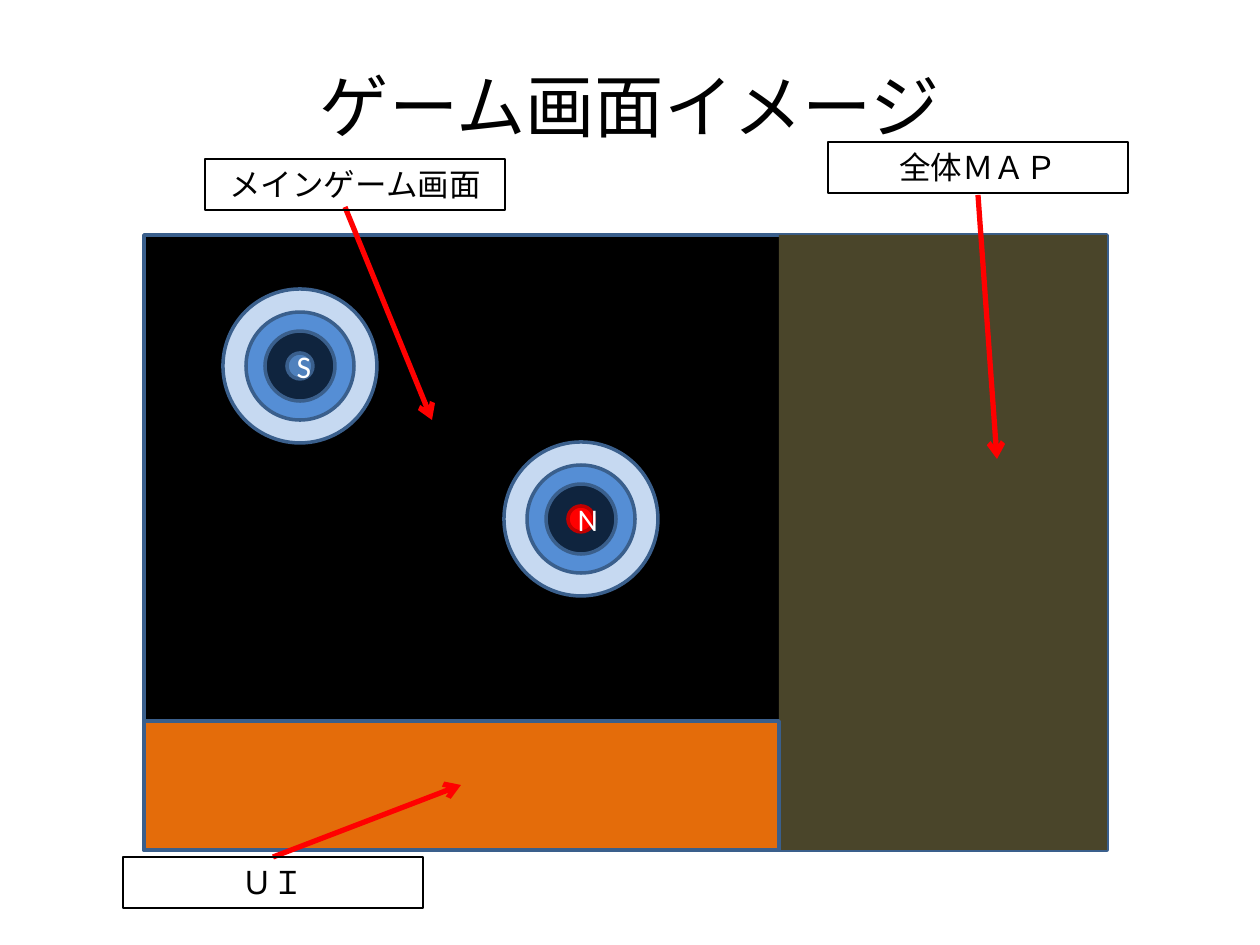
from lxml import etree
from pptx import Presentation
from pptx.dml.color import RGBColor
from pptx.enum.dml import MSO_LINE
from pptx.enum.shapes import MSO_CONNECTOR, MSO_SHAPE
from pptx.enum.text import MSO_ANCHOR, MSO_AUTO_SIZE, PP_ALIGN
from pptx.oxml.ns import qn
from pptx.util import Emu, Inches, Pt

RECTANGLE, OVAL = MSO_SHAPE.RECTANGLE, MSO_SHAPE.OVAL
STRAIGHT, SOLID = MSO_CONNECTOR.STRAIGHT, MSO_LINE.SOLID
CENTER, MIDDLE = PP_ALIGN.CENTER, MSO_ANCHOR.MIDDLE
GROW, NO_FIT = MSO_AUTO_SIZE.SHAPE_TO_FIT_TEXT, MSO_AUTO_SIZE.NONE
TITLE_ONLY = 5
SCALE = Inches(1) / 126
FONT = "Calibri"
COLORS = {
    "black": "000000", "white": "FFFFFF", "outline": "3A5F8C",
    "pale": "C6D9F1", "blue": "558ED5", "navy": "0F243E",
    "south": "4F81BD", "north": "FF0000", "north_edge": "C00000",
    "map": "4A452A", "ui": "E46C0A", "arrow": "FF0000",
}


class SlideBuilder:
    """Holds the style and the current slide and draws its elements."""

    def __init__(self, slide):
        self.slide = slide

    def color(self, name):
        return RGBColor.from_string(COLORS[name])

    def lengths(self, *pixels):
        return [Emu(round(value * SCALE)) for value in pixels]

    def add_text(self, shape, text, size, color, **frame_format):
        frame = shape.text_frame
        for name, value in frame_format.items():
            setattr(frame, name, value)
        paragraph = frame.paragraphs[0]
        paragraph.alignment = CENTER
        run = paragraph.add_run()
        run.text = text
        for name, value in {"name": FONT, "size": Pt(size)}.items():
            setattr(run.font, name, value)
        run.font.color.rgb = self.color(color)

    def outline(self, shape, color, width):
        for name, value in {"width": Pt(width), "dash_style": SOLID}.items():
            setattr(shape.line, name, value)
        shape.line.color.rgb = self.color(color)

    def title(self, text, *box):
        shape = self.slide.shapes.title
        shape.left, shape.top, shape.width, shape.height = self.lengths(*box)
        self.add_text(shape, text, 39.6, "black", vertical_anchor=MIDDLE, auto_size=NO_FIT)

    def shape(self, kind, box, fill, line="outline"):
        shape = self.slide.shapes.add_shape(kind, *self.lengths(*box))
        shape.shadow.inherit = False
        shape.fill.solid()
        shape.fill.fore_color.rgb = self.color(fill)
        if line:
            self.outline(shape, line, 2)
        else:
            shape.line.fill.background()
        return shape

    def circle(self, x, y, diameter, fill, line="outline"):
        radius = diameter // 2
        return self.shape(OVAL, (x - radius, y - radius, diameter, diameter), fill, line)

    def magnet(self, x, y, letter, fill, line):
        for diameter, ring in ((154, "pale"), (108, "blue"), (70, "navy")):
            self.circle(x, y, diameter, ring)
        core = self.circle(x, y, 26, fill, line)
        self.add_text(core, letter, 18, "white", vertical_anchor=MIDDLE)

    def arrow(self, *ends):
        connector = self.slide.shapes.add_connector(STRAIGHT, *self.lengths(*ends))
        self.outline(connector, "arrow", 3)
        etree.SubElement(connector.get_or_add_ln(), qn("a:tailEnd"), type="arrow")
        etree.SubElement(connector.element.spPr, qn("a:effectLst"))

    def label(self, text, x, y):
        box = self.slide.shapes.add_textbox(*self.lengths(x, y, 300, 51))
        self.outline(box, "black", 0.75)
        self.add_text(box, text, 18, "black", word_wrap=True, auto_size=GROW)


presentation = Presentation()
presentation.slide_width, presentation.slide_height = Inches(10), Inches(7.5)
layout = presentation.slide_layouts[TITLE_ONLY]
builder = SlideBuilder(presentation.slides.add_slide(layout))

builder.title("ゲーム画面イメージ", 63, 66, 1134, 77)
builder.shape(RECTANGLE, (144, 235, 963, 615), "black")
for magnet in (
    (300, 366, "S", "south", "outline"),
    (581, 519, "N", "north", "north_edge"),
):
    builder.magnet(*magnet)
builder.shape(RECTANGLE, (779, 235, 328, 615), "map", None)
builder.shape(RECTANGLE, (144, 721, 635, 129), "ui")

for ends in ((345, 207, 432, 420), (273, 857, 461, 785), (978, 195, 997, 459)):
    builder.arrow(*ends)
for label in (("メインゲーム画面", 205, 159), ("ＵＩ", 123, 857), ("全体ＭＡＰ", 828, 142)):
    builder.label(*label)

presentation.save("out.pptx")
